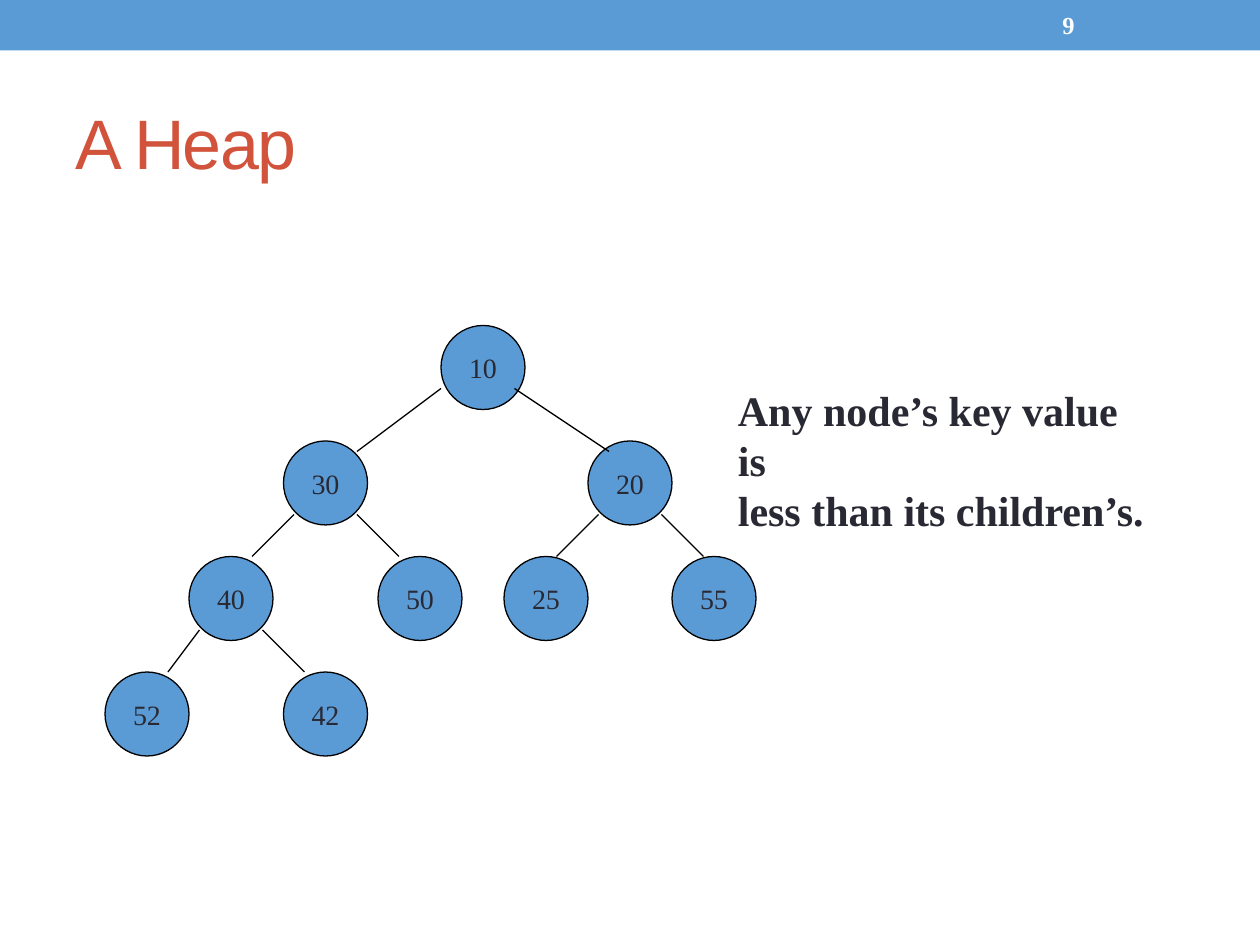
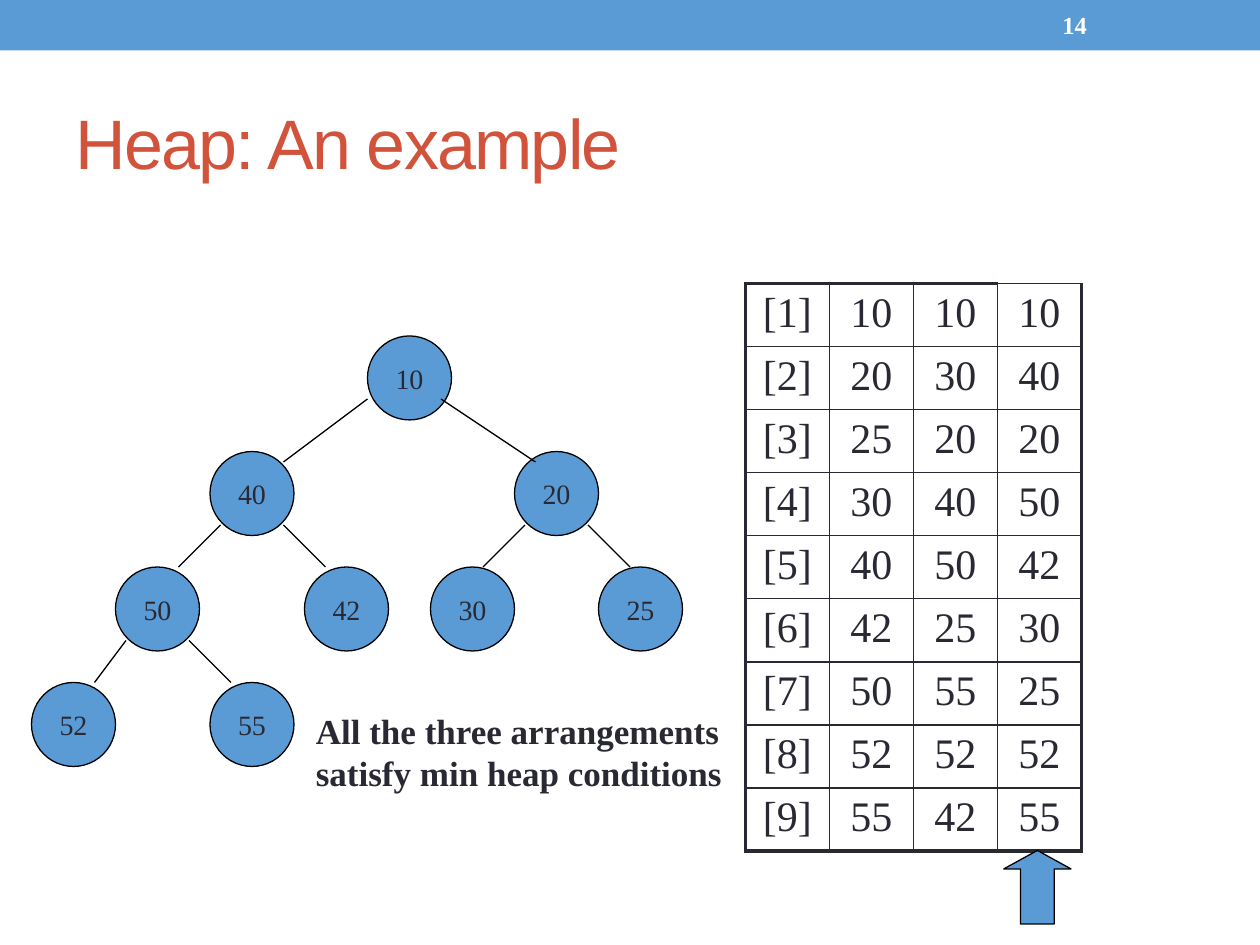
from lxml.etree import SubElement
from pptx import Presentation
from pptx.dml.color import RGBColor
from pptx.enum.shapes import MSO_CONNECTOR as Link, MSO_SHAPE as Preset
from pptx.enum.text import MSO_ANCHOR as Anchor, PP_ALIGN as Align
from pptx.oxml import parse_xml
from pptx.oxml.ns import nsdecls, qn
from pptx.util import Emu, Inches, Pt

BLUE = RGBColor(0x5B, 0x9B, 0xD5)
RED = RGBColor(0xD2, 0x53, 0x3C)
INK = RGBColor(0x29, 0x29, 0x34)
BLACK = RGBColor(0, 0, 0)
WHITE = RGBColor(255, 255, 255)
HEADING_FONT = "Arial"
BODY_FONT = "Times New Roman"

COLUMNS, ROWS = 120, 90
UNIT = Inches(10) // COLUMNS
NODE = 8
LEVEL_STEP = 11
NODE_COLUMNS = [32, 17, 46, 8, 26, 38, 54, 0, 17]
EDGE_ARRIVALS = [7, 2, 6, 2, 5, 3, 6, 2]
THIN, THICK = 0.96, 2.21


def grid(*cells):
    return [Emu(round(cell * UNIT)) for cell in cells]


def write(frame, text, size=16, font=BODY_FONT, color=INK, bold=False,
          align=Align.LEFT, anchor=Anchor.TOP, wrap=False, spacing=0):
    frame.word_wrap = wrap
    frame.vertical_anchor = anchor
    for index, line in enumerate(text.split("\n")):
        paragraph = frame.add_paragraph() if index else frame.paragraphs[0]
        paragraph.alignment = align
        run = paragraph.add_run()
        run.text = line
        run.font.size = Pt(size)
        run.font.name = font
        run.font.bold = bold
        run.font.color.rgb = color
        if spacing:
            run.font._element.set("spc", str(spacing * 100))


def add_label(slide, box, text, **style):
    label = slide.shapes.add_textbox(*grid(*box))
    write(label.text_frame, text, **style)


def add_solid(shapes, preset, box, outlined=True):
    solid = shapes.add_shape(preset, *grid(*box))
    solid.shadow.inherit = False
    solid.fill.solid()
    solid.fill.fore_color.rgb = BLUE
    if outlined:
        solid.line.color.rgb = BLACK
        solid.line.width = Pt(0.75)
    else:
        solid.line.fill.background()
    return solid


def add_edge(shapes, start, end):
    edge = shapes.add_connector(Link.STRAIGHT, *grid(*start, *end))
    edge.line.color.rgb = BLACK
    edge.line.width = Pt(0.75)
    SubElement(edge._element.spPr, qn("a:effectLst"))


def add_heap_slide(deck, title, number):
    slide = deck.slides.add_slide(deck.slide_layouts[6])
    add_solid(slide.shapes, Preset.RECTANGLE, (0, 0, COLUMNS, 4.8), outlined=False)
    add_label(slide, (6, 7, 108, 13), title, size=40, font=HEADING_FONT,
              color=RED, anchor=Anchor.MIDDLE, wrap=True, spacing=-1)
    add_label(slide, (100, 0.25, 14, 4.3), number, size=14, color=WHITE,
              bold=True, anchor=Anchor.MIDDLE, wrap=True)
    return slide


def add_tree(slide, left, top, keys):
    tree = slide.shapes.add_group_shape().shapes
    corners = []
    for order, (key, column) in enumerate(zip(keys, NODE_COLUMNS), start=1):
        level = order.bit_length() - 1
        corner = left + column, top + level * LEVEL_STEP
        corners.append(corner)
        node = add_solid(tree, Preset.OVAL, (*corner, NODE, NODE))
        write(node.text_frame, str(key), align=Align.CENTER, anchor=Anchor.MIDDLE)
    for child, arrival in enumerate(EDGE_ARRIVALS, start=1):
        parent = (child - 1) // 2
        from_root = parent == 0
        is_left = child % 2 == 1
        departure = (0 if from_root else 1) if is_left else 7
        parent_x, parent_y = corners[parent]
        child_x, child_y = corners[child]
        add_edge(tree,
                 (parent_x + departure, parent_y + (6 if from_root else 7)),
                 (child_x + arrival, child_y + (1 if from_root else 0)))


def set_borders(cell, widths):
    properties = cell._tc.get_or_add_tcPr()
    for index, (side, width) in enumerate(widths.items()):
        properties.insert(index, parse_xml(
            f'<a:ln{side} {nsdecls("a")} w="{Pt(width)}"><a:solidFill>'
            f'<a:srgbClr val="{INK}"/></a:solidFill></a:ln{side}>'))


def add_arrangements(slide, box, arrangements):
    count, options = len(arrangements[0]), len(arrangements)
    table = slide.shapes.add_table(count, options + 1, *grid(*box)).table
    table.first_row = table.horz_banding = False
    for row in range(count):
        values = [f"[{row + 1}]"] + [str(keys[row]) for keys in arrangements]
        for column, value in enumerate(values):
            cell = table.cell(row, column)
            write(cell.text_frame, value, size=24, align=Align.CENTER, wrap=True)
            cell.fill.background()
            set_borders(cell, {
                "L": THICK if column == 0 else THIN,
                "R": THICK if column == options else THIN,
                "T": THICK if row == 0 and column < options else THIN,
                "B": THICK if row == count - 1 else THIN,
            })


def add_pointer(slide, box):
    pointer = add_solid(slide.shapes, Preset.UP_ARROW, box)
    pointer.adjustments[0] = 0.5
    pointer.adjustments[1] = 0.275


def build_definition(deck):
    slide = add_heap_slide(deck, "A Heap", "9")
    add_tree(slide, 10, 31, [10, 30, 20, 40, 50, 25, 55, 52, 42])
    add_label(slide, (69.1, 36, 42.2, 10.8),
              "Any node’s key value is\nless than its children’s.", size=24, bold=True)


def build_example(deck):
    slide = add_heap_slide(deck, "Heap: An example", "14")
    arrangements = [
        [10, 20, 25, 30, 40, 42, 50, 52, 55],
        [10, 30, 20, 40, 50, 25, 55, 52, 42],
        [10, 40, 20, 50, 42, 30, 25, 52, 55],
    ]
    add_tree(slide, 3, 32, arrangements[-1])
    add_arrangements(slide, (71, 27, 32, 53.3), arrangements)
    add_pointer(slide, (95.6, 81, 6.4, 7))
    add_label(slide, (28.9, 67, 41.2, 9.2),
              "All the three arrangements\nsatisfy min heap conditions", size=20, bold=True)


def main():
    deck = Presentation()
    deck.slide_width, deck.slide_height = grid(COLUMNS, ROWS)
    build_definition(deck)
    build_example(deck)
    deck.save("out.pptx")


if __name__ == "__main__":
    main()
